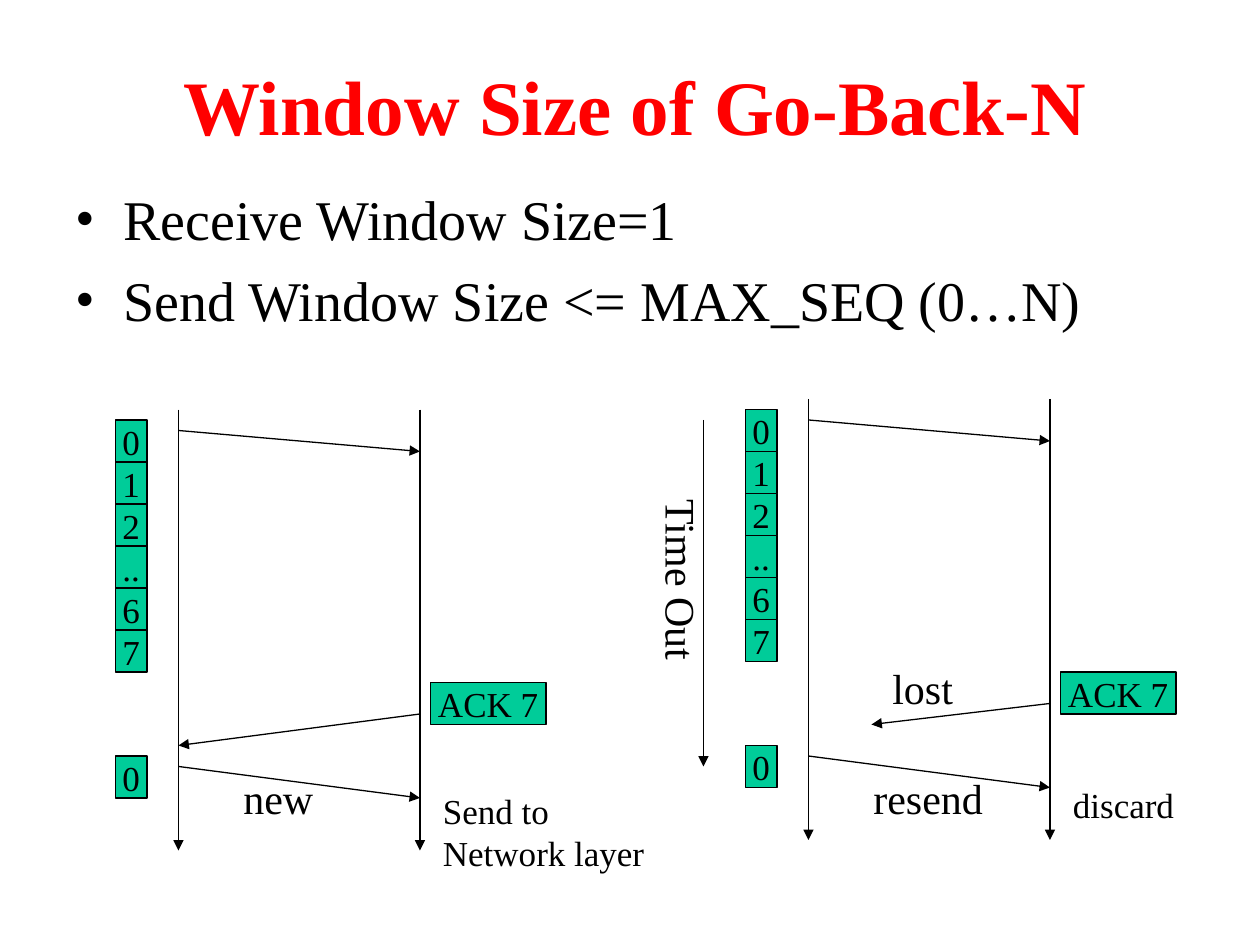
import pptx
import pptx.dml.color
import pptx.enum.shapes
import pptx.enum.text
import pptx.oxml
import pptx.oxml.ns
import pptx.util

COLORS = {"title": "FF0000", "ink": "000000", "frame": "00CC99"}
FONT = "Times New Roman"
ALIGN = pptx.enum.text.PP_ALIGN
ANCHOR = pptx.enum.text.MSO_ANCHOR
NAMESPACE = pptx.oxml.ns.nsdecls("a")

presentation = pptx.Presentation()
presentation.slide_width = pptx.util.Inches(10)
presentation.slide_height = pptx.util.Inches(7.5)
cell = presentation.slide_width / 120  # the grid has 120 columns and 90 rows
slide = presentation.slides.add_slide(presentation.slide_layouts[5])


def write(shape, lines, size, align=ALIGN.LEFT, color="ink", bold=False, **frame_format):
    """Fill a shape with one paragraph per line; frame_format sets its text frame."""
    frame = shape.text_frame
    for name, value in frame_format.items():
        setattr(frame, name, value)
    frame.text = "\n".join(lines)
    for paragraph in frame.paragraphs:
        paragraph.alignment = align
        font = paragraph.runs[0].font
        values = {"name": FONT, "size": pptx.util.Pt(size), "bold": bold}
        for name, value in values.items():
            setattr(font, name, value)
        font.color.rgb = pptx.dml.color.RGBColor.from_string(COLORS[color])


def arrow(*ends):
    """Draw an arrow; ends are start column, start row, end column, end row."""
    connector = slide.shapes.add_connector(
        pptx.enum.shapes.MSO_CONNECTOR.STRAIGHT, *[round(end * cell) for end in ends])
    connector.line.width = pptx.util.Pt(0.75)
    connector.line.color.rgb = pptx.dml.color.RGBColor.from_string(COLORS["ink"])
    connector.line._get_or_add_ln().append(
        pptx.oxml.parse_xml(f'<a:tailEnd {NAMESPACE} type="triangle"/>'))
    connector._element.spPr.append(pptx.oxml.parse_xml(f"<a:effectLst {NAMESPACE}/>"))


# Title and bullets
title = slide.shapes.title
title_box = {"left": 6, "top": 5, "width": 109, "height": 10}
for name, value in title_box.items():
    setattr(title, name, round(value * cell))
write(title, ["Window Size of Go-Back-N"], 44, ALIGN.CENTER, "title", True,
      vertical_anchor=ANCHOR.MIDDLE, word_wrap=True)

bullets = slide.shapes.add_textbox(*[round(value * cell) for value in (6, 17, 109, 17)])
write(bullets, ["Receive Window Size=1", "Send Window Size <= MAX_SEQ (0…N)"], 32,
      word_wrap=True)
for index, paragraph in enumerate(bullets.text_frame.paragraphs):
    properties = paragraph._p.get_or_add_pPr()
    properties.set("marL", str(pptx.util.Inches(0.38)))
    properties.set("indent", str(pptx.util.Inches(-0.38)))
    for bullet in (f'buFont {NAMESPACE} typeface="{FONT}"', f'buChar {NAMESPACE} char="•"'):
        properties.append(pptx.oxml.parse_xml(f"<a:{bullet}/>"))
    if index:
        paragraph.space_before = pptx.util.Pt(8)

# Two sequence diagrams: origin column, origin row, end of the ACK arrow
sequence = ["0", "1", "2", "..", "6", "7"]
for column, row, ack_column, ack_row in [(11, 39, 6, 32), (71, 38, 12, 31)]:
    sender, receiver = column + 6, column + 29
    for lifeline in (sender, receiver):
        arrow(lifeline, row, lifeline, row + 42)
    arrow(sender, row + 2, receiver, row + 4)
    arrow(receiver, row + 29, column + ack_column, row + ack_row)
    arrow(sender, row + 34, receiver, row + 37)

    boxes = [(column, row + 1 + 4 * index, 3, text) for index, text in enumerate(sequence)]
    boxes += [(column, row + 33, 3, "0"), (receiver + 1, row + 26, 11, "ACK 7")]
    for left, top, width, text in boxes:
        box = slide.shapes.add_shape(
            pptx.enum.shapes.MSO_SHAPE.RECTANGLE,
            *[round(value * cell) for value in (left, top, width, 4)])
        box.shadow.inherit = False
        box.fill.solid()
        box.fill.fore_color.rgb = pptx.dml.color.RGBColor.from_string(COLORS["frame"])
        box.line.color.rgb = pptx.dml.color.RGBColor.from_string(COLORS["ink"])
        box.line.width = pptx.util.Pt(0.75)
        write(box, [text], 20, ALIGN.CENTER, vertical_anchor=ANCHOR.MIDDLE, word_wrap=False)

# Time-out span and labels
arrow(67, 40, 67, 73)
labels = [
    (60.8, 46.4, 7.2, 17, 24, ["Time Out"]),
    (83.8, 62.5, 8.6, 6, 24, ["lost"]),
    (82, 73, 13.4, 6, 24, ["resend"]),
    (22, 73, 9.6, 6, 24, ["new"]),
    (41, 74.6, 22.2, 9.2, 20, ["Send to", "Network layer"]),
    (101, 74, 12.8, 5.3, 20, ["discard"]),
]
for *place, size, lines in labels:
    label = slide.shapes.add_textbox(*[round(value * cell) for value in place])
    write(label, lines, size, word_wrap=False,
          auto_size=pptx.enum.text.MSO_AUTO_SIZE.SHAPE_TO_FIT_TEXT)
    if lines == ["Time Out"]:
        frame = label.text_frame
        frame._txBody.bodyPr.set("vert", "eaVert")
        frame.margin_left = frame.margin_right = pptx.util.Inches(0.05)
        frame.margin_top = frame.margin_bottom = pptx.util.Inches(0.1)

presentation.save("out.pptx")
